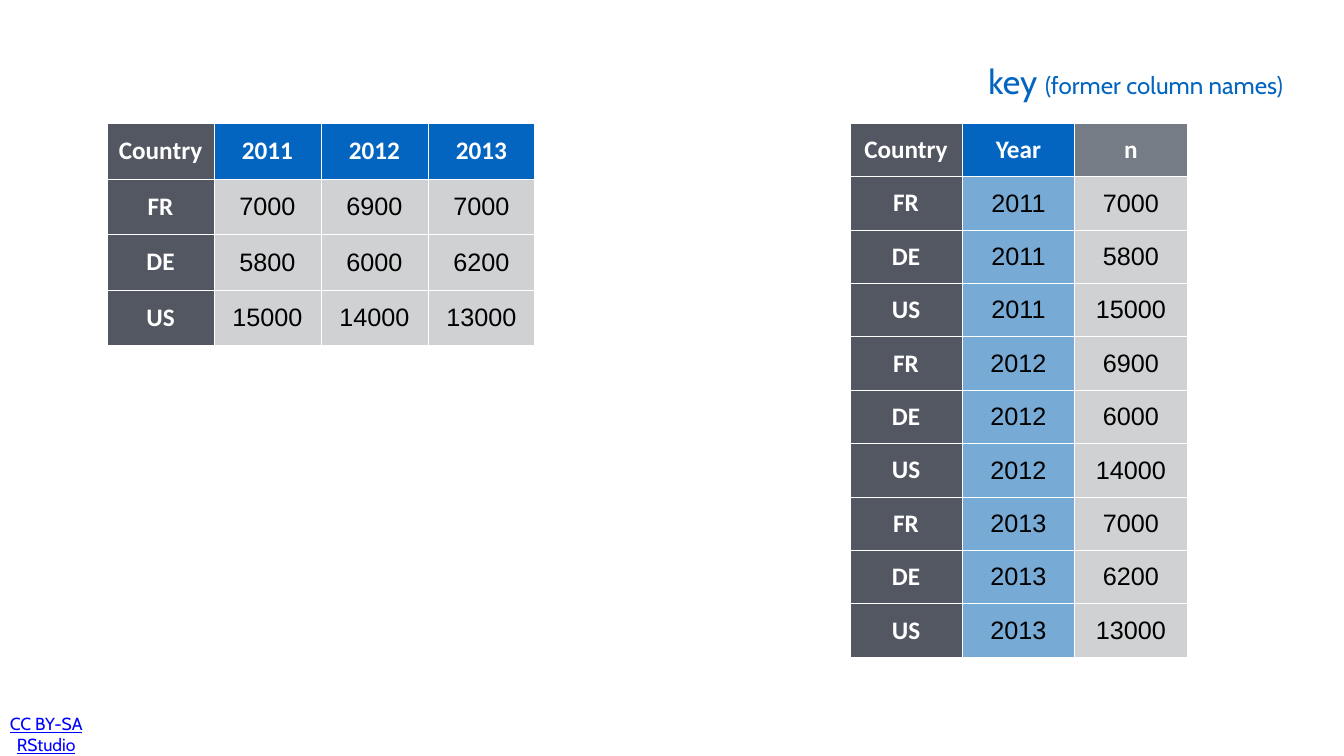
from lxml import etree
from pptx import Presentation
from pptx.dml.color import RGBColor
from pptx.enum.text import MSO_ANCHOR, PP_ALIGN
from pptx.oxml.ns import qn
from pptx.util import Pt

MIDDLE = MSO_ANCHOR.MIDDLE
CENTER, LEFT = PP_ALIGN.CENTER, PP_ALIGN.LEFT

EMU_PER_PX = 12700
WIDTH, HEIGHT = 1920, 1080

WHITE = RGBColor(0xFF, 0xFF, 0xFF)
BLACK = RGBColor(0x00, 0x00, 0x00)
SLATE = RGBColor(0x53, 0x57, 0x61)
GRAY = RGBColor(0x76, 0x7C, 0x85)
PALE_GRAY = RGBColor(0xD0, 0xD1, 0xD2)
BLUE = RGBColor(0x03, 0x65, 0xC0)
LIGHT_BLUE = RGBColor(0x78, 0xAA, 0xD6)
LINK_BLUE = RGBColor(0x00, 0x00, 0xFF)

COUNTRIES = ["FR", "DE", "US"]
CASES_BY_YEAR = {
    "2011": [7000, 5800, 15000],
    "2012": [6900, 6000, 14000],
    "2013": [7000, 6200, 13000],
}


def px(length):
    return round(length * EMU_PER_PX)


class SlideBuilder:
    label_font, heading_font, number_font = "Cabin", "Calibri", "Arial"
    table_size = Pt(36)
    cell_margin, box_margin = 4, 6

    def __init__(self, slide):
        self.slide = slide

    def text(self, left, top, width, height, runs, color, align=LEFT, underline=None):
        """Add one paragraph made of (text, point size) runs."""
        box = self.slide.shapes.add_textbox(px(left), px(top), px(width), px(height))
        frame = box.text_frame
        frame.word_wrap = True
        frame.vertical_anchor = MIDDLE
        frame.margin_left = frame.margin_right = px(self.box_margin)
        frame.margin_top = frame.margin_bottom = px(self.box_margin)
        paragraph = frame.paragraphs[0]
        paragraph.alignment = align
        paragraph.font.name = self.label_font
        paragraph.font.color.rgb = color
        paragraph.font.underline = underline
        for words, size in runs:
            run = paragraph.add_run()
            run.text = words
            run.font.size = Pt(size)

    def table(self, left, top, width, height, rows, header_fills, body_fills):
        """Add a table whose first row and first column are headings."""
        frame = self.slide.shapes.add_table(
            len(rows), len(rows[0]), px(left), px(top), px(width), px(height))
        table = frame.table
        for column in table.columns:
            column.width = px(width / len(rows[0]))
        for row in table.rows:
            row.height = px(height / len(rows))
        for r, values in enumerate(rows):
            fills = body_fills if r else header_fills
            for c, (value, fill) in enumerate(zip(values, fills)):
                self.cell(table.cell(r, c), value, fill, heading=r == 0 or c == 0)

    def cell(self, cell, value, fill, heading):
        cell.text = str(value)
        cell.vertical_anchor = MIDDLE
        cell.margin_left = cell.margin_right = px(self.cell_margin)
        cell.margin_top = cell.margin_bottom = px(self.cell_margin)
        paragraph = cell.text_frame.paragraphs[0]
        paragraph.alignment = CENTER
        font = paragraph.font
        font.name = self.heading_font if heading else self.number_font
        font.size = self.table_size
        font.bold = heading
        font.color.rgb = WHITE if heading else BLACK
        self.borders(cell)
        cell.fill.solid()
        cell.fill.fore_color.rgb = fill

    def borders(self, cell):
        properties = cell._tc.get_or_add_tcPr()
        for side in ("a:lnL", "a:lnR", "a:lnT", "a:lnB"):
            line = etree.SubElement(properties, qn(side), w=str(Pt(1)))
            solid = etree.SubElement(line, qn("a:solidFill"))
            etree.SubElement(solid, qn("a:srgbClr"), val=str(WHITE))


def main():
    deck = Presentation()
    deck.slide_width, deck.slide_height = px(WIDTH), px(HEIGHT)
    builder = SlideBuilder(deck.slides.add_slide(deck.slide_layouts[6]))

    wide_rows = [["Country", *CASES_BY_YEAR]]
    wide_rows += zip(COUNTRIES, *CASES_BY_YEAR.values())
    long_rows = [["Country", "Year", "n"]]
    for year, cases in CASES_BY_YEAR.items():
        long_rows += [[country, year, n] for country, n in zip(COUNTRIES, cases)]

    builder.text(6, 1027, 120, 43, [("CC BY-SA RStudio", 25)], LINK_BLUE,
                 align=CENTER, underline=True)
    builder.table(153, 176, 611, 318, wide_rows,
                  [SLATE] + [BLUE] * 3, [SLATE] + [PALE_GRAY] * 3)
    builder.table(1214, 176, 482, 763, long_rows,
                  [SLATE, BLUE, GRAY], [SLATE, LIGHT_BLUE, PALE_GRAY])
    builder.text(1406, 80, 510, 72,
                 [("key ", 48.7), ("(former column names)", 34.4)], BLUE)

    deck.save("out.pptx")


if __name__ == "__main__":
    main()
